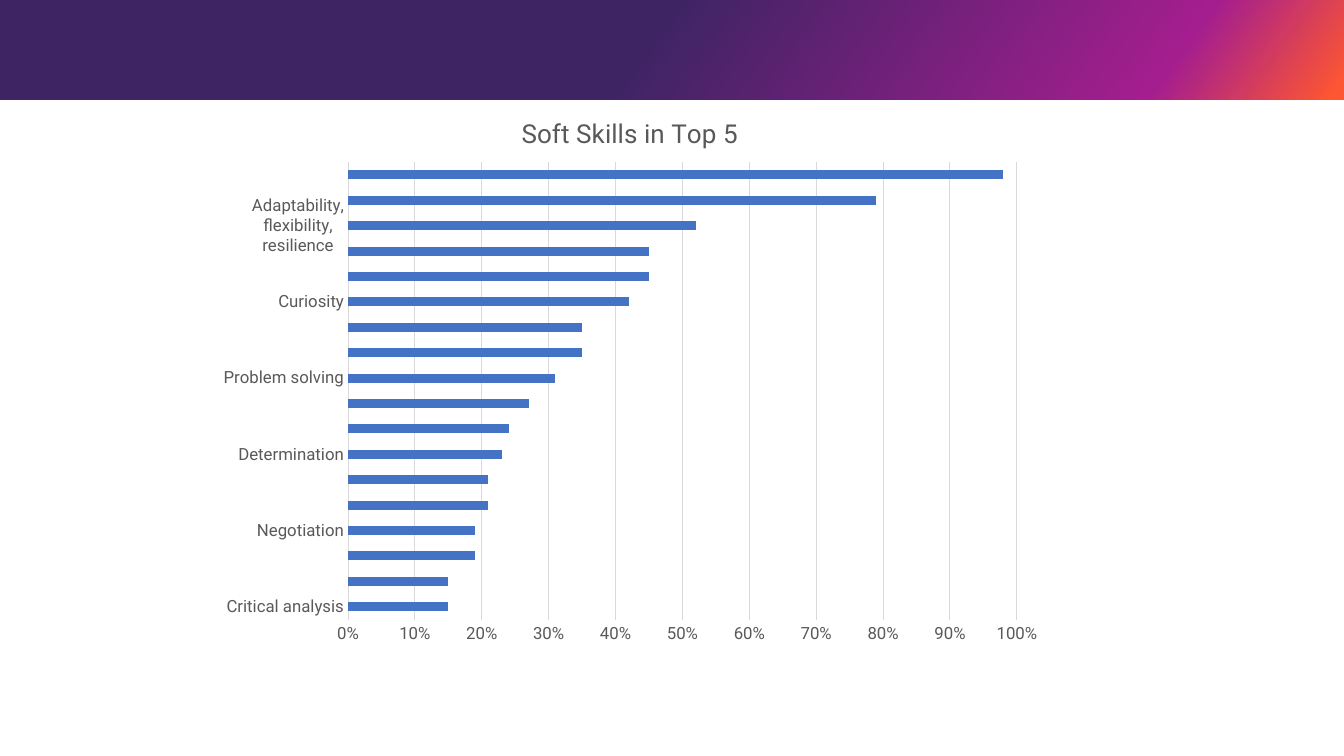
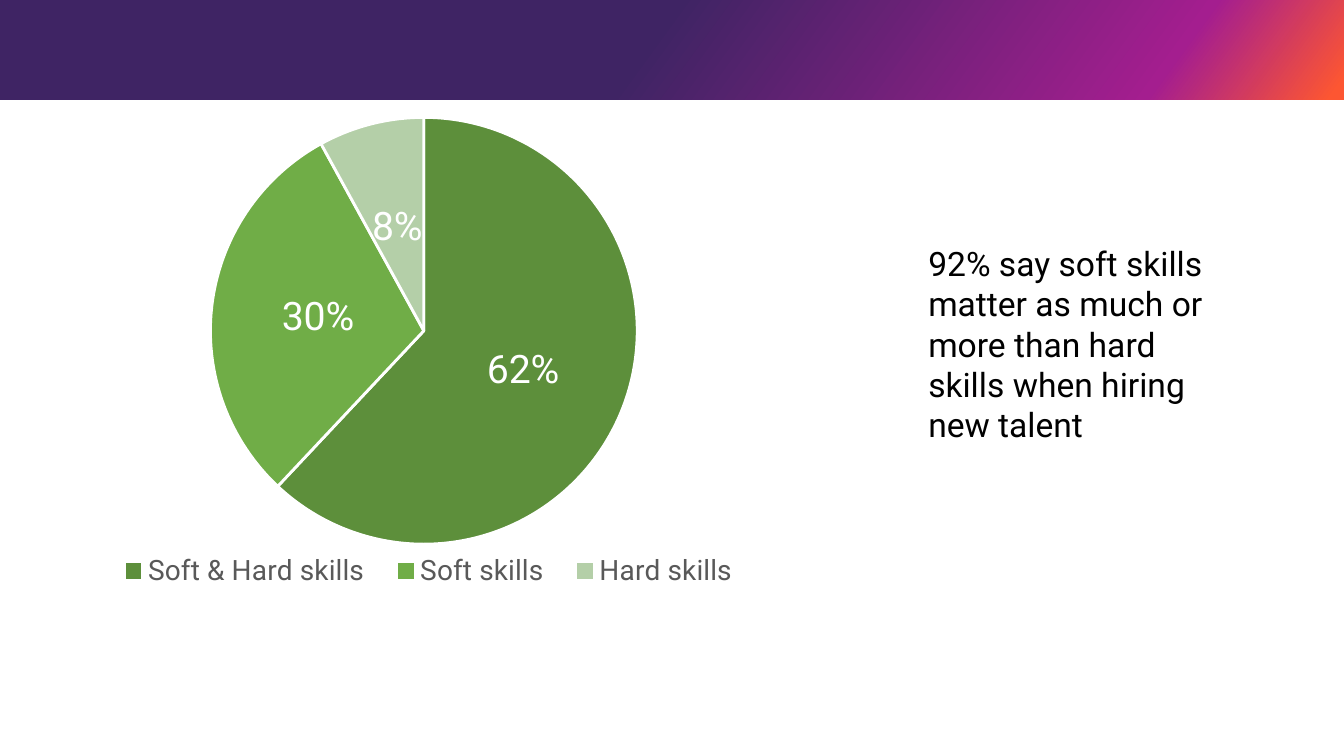
from lxml.etree import SubElement
from pptx import Presentation
from pptx.chart.data import CategoryChartData
from pptx.dml.color import RGBColor
from pptx.enum.chart import (XL_CHART_TYPE, XL_LABEL_POSITION,
                             XL_LEGEND_POSITION, XL_TICK_MARK)
from pptx.enum.shapes import MSO_SHAPE
from pptx.enum.text import MSO_AUTO_SIZE
from pptx.oxml.ns import qn
from pptx.util import Pt

FONT = "Roboto"
COLORS = {
    "violet": "3F2464", "magenta": "A41E8F", "orange": "FD5632",
    "text": "000000", "label": "595959", "grid": "D9D9D9", "white": "FFFFFF",
    "bar": "4472C4", "both": "5D8F3B", "soft": "70AD47", "hard": "B4CFA8",
}
PAGE_WIDTH, PAGE_HEIGHT, BAND_HEIGHT = 960, 540, 71.3
BAND_STOPS = [(48, "violet"), (86, "magenta"), (99, "orange")]

SKILLS = [
    ("Critical analysis", 0.15),
    ("Humility", 0.15),
    ("Leadership", 0.19),
    ("Negotiation", 0.19),
    ("Customer service mindset", 0.21),
    ("Time management", 0.21),
    ("Determination", 0.23),
    ("Creativity", 0.24),
    ("Presentation", 0.27),
    ("Problem solving", 0.31),
    ("Persuasion, influence, salesmanship", 0.35),
    ("Critical thinking/observation", 0.35),
    ("Curiosity", 0.42),
    ("Collaboration", 0.45),
    ("Teamwork, sharing", 0.45),
    ("Adaptability, flexibility, resilience", 0.52),
    ("Emotional intelligence (EQ) self aware, self regulating, "
     "motivation, empathy, listening", 0.79),
    ("Communications (verbal and written)", 0.98),
]
SHARES = [("Soft & Hard skills", 0.62), ("Soft skills", 0.3), ("Hard skills", 0.08)]


def rgb(name):
    return RGBColor.from_string(COLORS[name])


def style_font(font, size, color):
    font.name = FONT
    font.size = Pt(size)
    font.bold = False
    font.color.rgb = rgb(color)


def style_line(line, color, width):
    line.color.rgb = rgb(color)
    line.width = Pt(width)


def add_band(page):
    """Gradient band along the top edge."""
    band = page.shapes.add_shape(MSO_SHAPE.RECTANGLE, 0, 0,
                                 Pt(PAGE_WIDTH), Pt(BAND_HEIGHT))
    band.shadow.inherit = False
    band.line.fill.background()
    band.fill.gradient()
    band.fill.gradient_angle = 360 - 36
    stops = band._element.spPr.find(".//" + qn("a:gsLst"))
    for stop in list(stops):
        stops.remove(stop)
    for position, color in BAND_STOPS:
        stop = SubElement(stops, qn("a:gs"), pos=str(position * 1000))
        SubElement(stop, qn("a:srgbClr"), val=COLORS[color])


def add_page(deck):
    page = deck.slides.add_slide(deck.slide_layouts[6])
    add_band(page)
    return page


def set_layout(part, index, fractions, target=()):
    """Fix a chart part at fractions (x, y, w, h) of the chart box."""
    for old in part.findall(qn("c:layout")):
        part.remove(old)
    layout = SubElement(part, qn("c:layout"))
    part.insert(index, layout)
    manual = SubElement(layout, qn("c:manualLayout"))
    settings = [*target, ("xMode", "edge"), ("yMode", "edge"),
                *zip("xywh", fractions)]
    for tag, value in settings:
        SubElement(manual, qn("c:" + tag), val=str(value))


def add_chart(page, kind, rows, box, plot_box):
    """Chart in a box of points; plot_box holds fractions of that box."""
    data = CategoryChartData(number_format="0%")
    data.categories = [name for name, _ in rows]
    data.add_series("Series 1", [value for _, value in rows])
    chart = page.shapes.add_chart(kind, *map(Pt, box), data).chart
    style_font(chart.font, 10, "text")
    chart.has_title = chart.has_legend = False
    set_layout(chart._chartSpace.chart.plotArea, 0, plot_box,
               [("layoutTarget", "inner")])
    return chart


def add_skill_bars(page, box):
    chart = add_chart(page, XL_CHART_TYPE.BAR_CLUSTERED, SKILLS, box,
                      (0.167, 0.12, 0.79, 0.815))
    # Title
    chart.has_title = True
    title = chart.chart_title
    title.include_in_layout = False
    title.text_frame.text = "Soft Skills in Top 5"
    style_font(title.text_frame.paragraphs[0].runs[0].font, 18.6, "label")

    # Bars
    plot = chart.plots[0]
    plot.gap_width = 182
    plot.vary_by_categories = False
    fill = plot.series[0].format.fill
    fill.solid()
    fill.fore_color.rgb = rgb("bar")

    # Axes
    for axis in (chart.category_axis, chart.value_axis):
        axis.major_tick_mark = axis.minor_tick_mark = XL_TICK_MARK.NONE
        style_font(axis.tick_labels.font, 12, "label")
    chart.category_axis.has_major_gridlines = False
    style_line(chart.category_axis.format.line, "grid", 0.75)
    values = chart.value_axis
    values.minimum_scale, values.maximum_scale, values.major_unit = 0, 1, 0.1
    values.tick_labels.number_format = "0%"
    values.tick_labels.number_format_is_linked = False
    values.format.line.fill.background()
    values.has_major_gridlines = True
    style_line(values.major_gridlines.format.line, "grid", 0.75)


def add_share_pie(page, box):
    chart = add_chart(page, XL_CHART_TYPE.PIE, SHARES, box,
                      (0, 0.045, 0.966, 0.847))
    # Slices
    plot = chart.plots[0]
    plot.vary_by_categories = True
    for index, color in enumerate(("both", "soft", "hard")):
        look = plot.series[0].points[index].format
        look.fill.solid()
        look.fill.fore_color.rgb = rgb(color)
        style_line(look.line, "white", 2)

    # Value labels
    labels = plot.series[0].data_labels
    labels.show_value = True
    labels.show_percentage = False
    labels.number_format = "0%"
    labels.number_format_is_linked = False
    labels.position = XL_LABEL_POSITION.CENTER
    style_font(labels.font, 28, "white")

    # Legend in one row below the pie
    chart.has_legend = True
    legend = chart.legend
    legend.position = XL_LEGEND_POSITION.BOTTOM
    legend.include_in_layout = False
    style_font(legend.font, 20, "label")
    set_layout(legend._element, 1, (0.01, 0.9, 0.96, 0.09))


def add_message(page, box, words):
    frame = page.shapes.add_textbox(*map(Pt, box)).text_frame
    frame.word_wrap = True
    frame.auto_size = MSO_AUTO_SIZE.SHAPE_TO_FIT_TEXT
    frame.text = words
    style_font(frame.paragraphs[0].runs[0].font, 24, "text")


def main():
    deck = Presentation()
    deck.slide_width, deck.slide_height = Pt(PAGE_WIDTH), Pt(PAGE_HEIGHT)

    add_skill_bars(add_page(deck), (147.6, 67.7, 604.8, 401))

    page = add_page(deck)
    add_share_pie(page, (67.7, 67.7, 486.7, 360))
    add_message(page, (656, 170, 224, 152.6),
                "92% say soft skills matter as much or more than hard skills "
                "when hiring new talent")
    deck.save("out.pptx")


if __name__ == "__main__":
    main()
